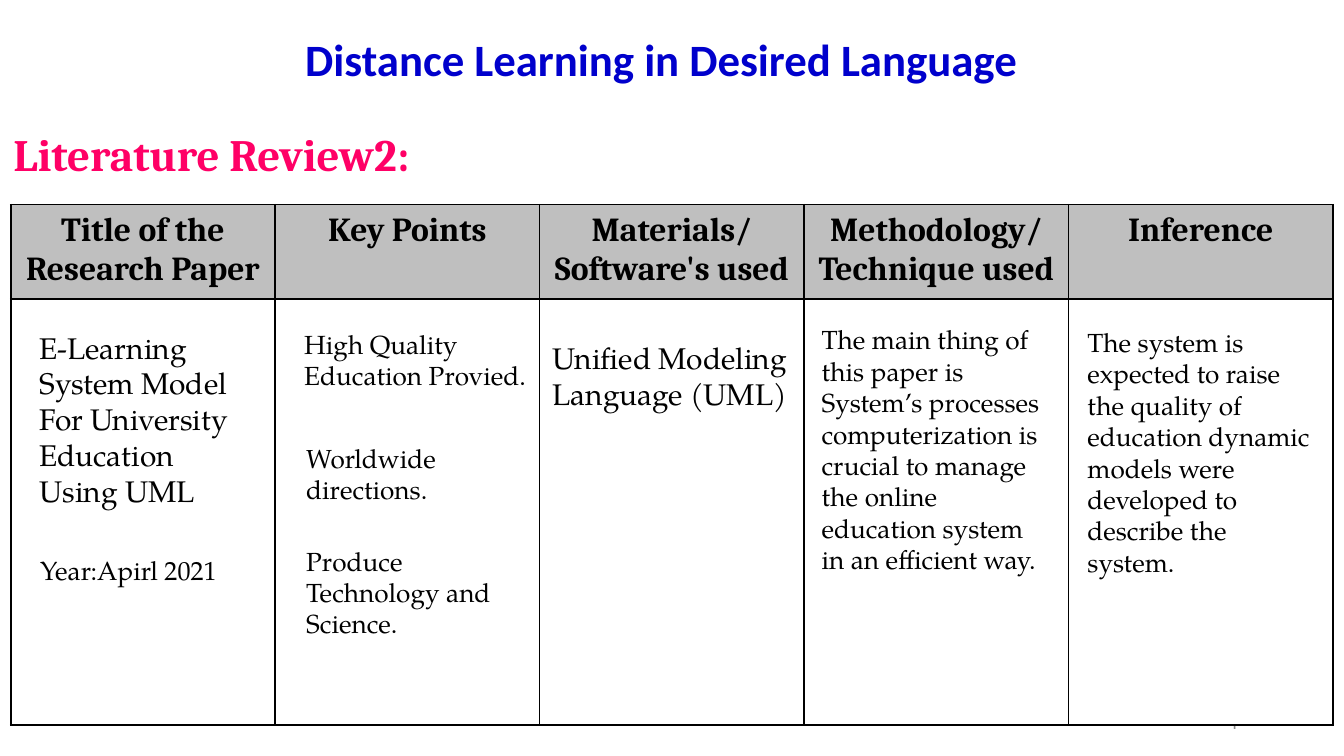
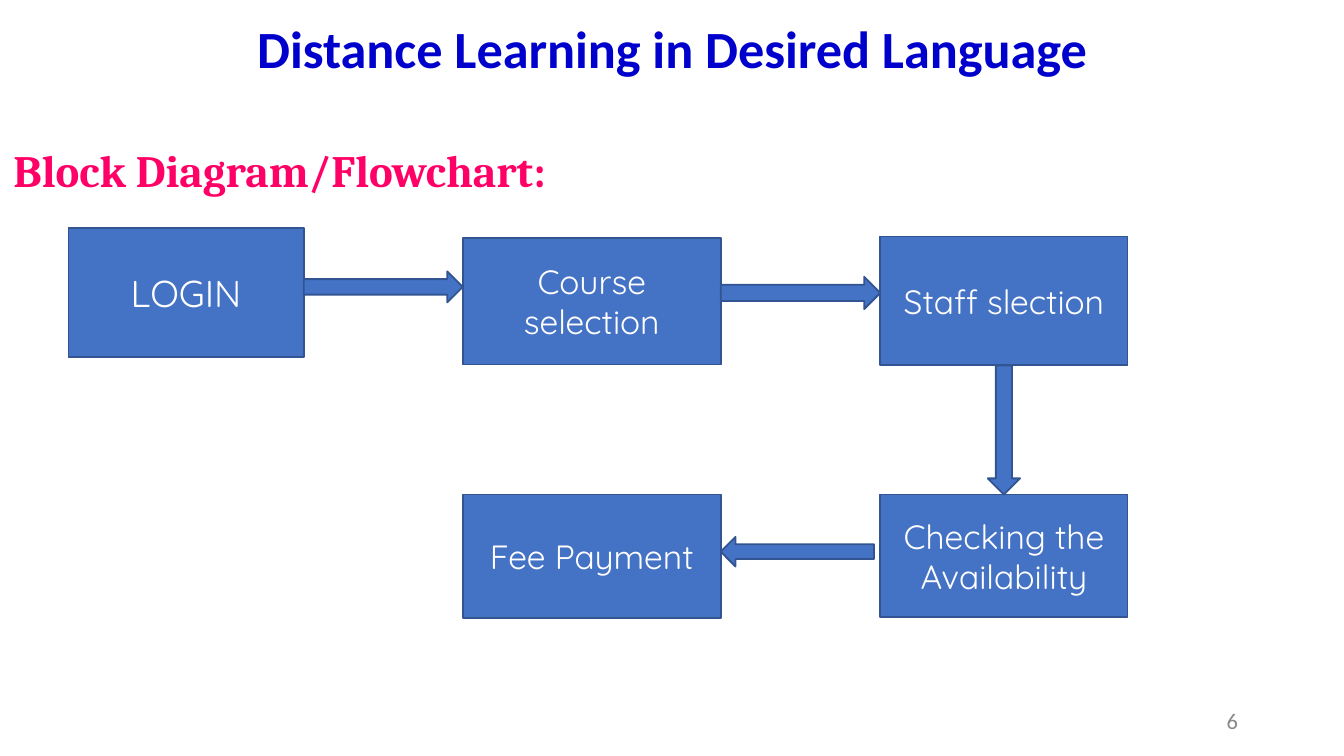
from lxml import etree
from pptx import Presentation
from pptx.dml.color import RGBColor
from pptx.enum.shapes import MSO_SHAPE
from pptx.enum.text import MSO_ANCHOR, MSO_AUTO_SIZE, PP_ALIGN
from pptx.oxml.ns import qn
from pptx.util import Inches, Pt

BLUE = RGBColor(0x00, 0x00, 0xCC)
PINK = RGBColor(0xFF, 0x00, 0x66)
BLACK = RGBColor(0x00, 0x00, 0x00)
WHITE = RGBColor(0xFF, 0xFF, 0xFF)
SILVER = RGBColor(0xBF, 0xBF, 0xBF)
GREY = RGBColor(0x89, 0x89, 0x89)
BOX_FILL = RGBColor(0x44, 0x72, 0xC4)
BOX_LINE = RGBColor(0x32, 0x54, 0x91)

COLS, ROWS = 100, 56.25
UNIT = Inches(0.1)
DECK_TITLE = "Distance Learning in Desired Language"


def grid(*cells):
    return [round(c * UNIT) for c in cells]


class Deck:
    def __init__(self):
        self.prs = Presentation()
        self.prs.slide_width, self.prs.slide_height = grid(COLS, ROWS)
        self.slide = None

    def add_slide(self, heading, heading_box, title_box, title_size, number, spacing=1.0):
        self.slide = self.prs.slides.add_slide(self.prs.slide_layouts[1])
        self.placeholder(self.slide.shapes.title, DECK_TITLE, title_box,
                         "Calibri", title_size, BLUE, PP_ALIGN.CENTER)
        body = self.slide.placeholders[1]
        self.placeholder(body, heading, heading_box, "Cambria", 24, PINK, PP_ALIGN.LEFT)
        p = body.text_frame.paragraphs[0]
        p.line_spacing = spacing
        pPr = p._p.get_or_add_pPr()
        pPr.set("marL", "0")
        pPr.set("indent", "0")
        etree.SubElement(pPr, qn("a:buNone"))
        self.text(number, (70.6, 52.15, 22.5, 3), "Calibri", 12, GREY,
                  PP_ALIGN.RIGHT, MSO_ANCHOR.MIDDLE)

    def format(self, tf, font, size, color, align, bold=False):
        for p in tf.paragraphs:
            p.alignment = align
            for r in p.runs:
                r.font.name = font
                r.font.size = Pt(size)
                r.font.bold = bold
                r.font.color.rgb = color

    def placeholder(self, sp, text, box, font, size, color, align):
        sp.left, sp.top, sp.width, sp.height = grid(*box)
        tf = sp.text_frame
        tf.text = text
        tf.auto_size = MSO_AUTO_SIZE.NONE
        tf.vertical_anchor = MSO_ANCHOR.TOP
        tf.paragraphs[0].space_before = Pt(0)
        self.format(tf, font, size, color, align, True)

    def text(self, text, box, font="TeX Gyre Pagella", size=14, color=BLACK,
             align=PP_ALIGN.LEFT, anchor=MSO_ANCHOR.TOP):
        tf = self.slide.shapes.add_textbox(*grid(*box)).text_frame
        tf.word_wrap = True
        tf.vertical_anchor = anchor
        tf.text = text
        self.format(tf, font, size, color, align)

    def shape(self, kind, box, text="", size=18):
        sp = self.slide.shapes.add_shape(kind, *grid(*box))
        sp.shadow.inherit = False
        sp.fill.solid()
        sp.fill.fore_color.rgb = BOX_FILL
        sp.line.color.rgb = BOX_LINE
        sp.line.width = Pt(1)
        if text:
            tf = sp.text_frame
            tf.text = text
            tf.vertical_anchor = MSO_ANCHOR.MIDDLE
            self.format(tf, "Quicksand", size, WHITE, PP_ALIGN.CENTER)

    def border(self, cell):
        tcPr = cell._tc.get_or_add_tcPr()
        for side in "LRTB":
            ln = etree.SubElement(tcPr, qn(f"a:ln{side}"), w=str(Pt(1)))
            fill = etree.SubElement(ln, qn("a:solidFill"))
            etree.SubElement(fill, qn("a:srgbClr"), val=str(BLACK))

    def table(self, headers, box, row_heights):
        table = self.slide.shapes.add_table(
            len(row_heights), len(headers), *grid(*box)).table
        table.horz_banding = False
        for row, height in zip(table.rows, grid(*row_heights)):
            row.height = height
        for i, header in enumerate(headers):
            for j, color in enumerate((SILVER, WHITE)):
                cell = table.cell(j, i)
                self.border(cell)
                cell.fill.solid()
                cell.fill.fore_color.rgb = color
            head = table.cell(0, i).text_frame
            head.text = header
            self.format(head, "Cambria", 18, BLACK, PP_ALIGN.CENTER, True)


deck = Deck()

deck.add_slide("Literature Review2:", (0, 9.4, COLS, 5.5),
               (-0.8, 1.83, COLS, 9.4), 24, "4", 0.9)
deck.table(["Title of the Research Paper", "Key Points", "Materials/ Software's used",
            "Methodology/ Technique used", "Inference"],
           (0.8, 15.23, 98.4, 38.4), (6.7, 31.7))

NOTES = [
    ("E-Learning System Model For University Education Using UML", (1.95, 24, 16.5, 14.5), 16),
    ("Year:Apirl 2021", (2, 40.75, 17.3, 3.4), 14),
    ("High Quality Education Provied.", (21.65, 23.95, 18.9, 5.7), 14),
    ("Worldwide directions.", (21.8, 32.4, 16.5, 5.7), 14),
    ("Produce Technology and Science.", (21.8, 40.05, 17.2, 8.1), 14),
    ("Unified Modeling Language (UML)", (40.15, 24.8, 19.7, 6.4), 16),
    ("The main thing of this paper is System’s processes computerization is crucial "
     "to manage the online education system in an efficient way.",
     (60.15, 23.6, 18.4, 19.9), 14),
    ("The system is expected to raise the quality of education dynamic models were "
     "developed to describe the system.", (79.93, 23.8, 18.7, 19.9), 14),
]
for note, box, size in NOTES:
    deck.text(note, box, size=size)

deck.add_slide("Block Diagram/Flowchart:", (0, 10.15, COLS, 5.1),
               (0, 0.7, COLS, 9.4), 28, "6")

LOGIN, COURSE, STAFF = (5.1, 17.5), (34.43, 19.2), (65.5, 18.4)
LOWER_ROW = 36.8
BLOCKS = [
    ("LOGIN", LOGIN, 17, 9.6, 20),
    ("Course\nselection", COURSE, 17.73, 9.4, 18),
    ("Staff slection", STAFF, 17.6, 9.6, 18),
    ("Checking the Availability", STAFF, LOWER_ROW, 9.1, 18),
    ("Fee Payment", COURSE, LOWER_ROW, 9.2, 18),
]
for label, (left, width), top, height, size in BLOCKS:
    deck.shape(MSO_SHAPE.RECTANGLE, (left, top, width, height), label, size)

for start, end, top, height in [(LOGIN, COURSE, 20.2, 2.3), (COURSE, STAFF, 20.6, 2.4)]:
    right = sum(start)
    deck.shape(MSO_SHAPE.RIGHT_ARROW, (right, top, end[0] - right, height))
staff_bottom = 27.2
deck.shape(MSO_SHAPE.DOWN_ARROW,
           (STAFF[0] + STAFF[1] / 2 - 1.2, staff_bottom, 2.4, LOWER_ROW - staff_bottom))
deck.shape(MSO_SHAPE.LEFT_ARROW, (sum(COURSE), 39.95, 11.4, 2.2))

deck.prs.save("out.pptx")
